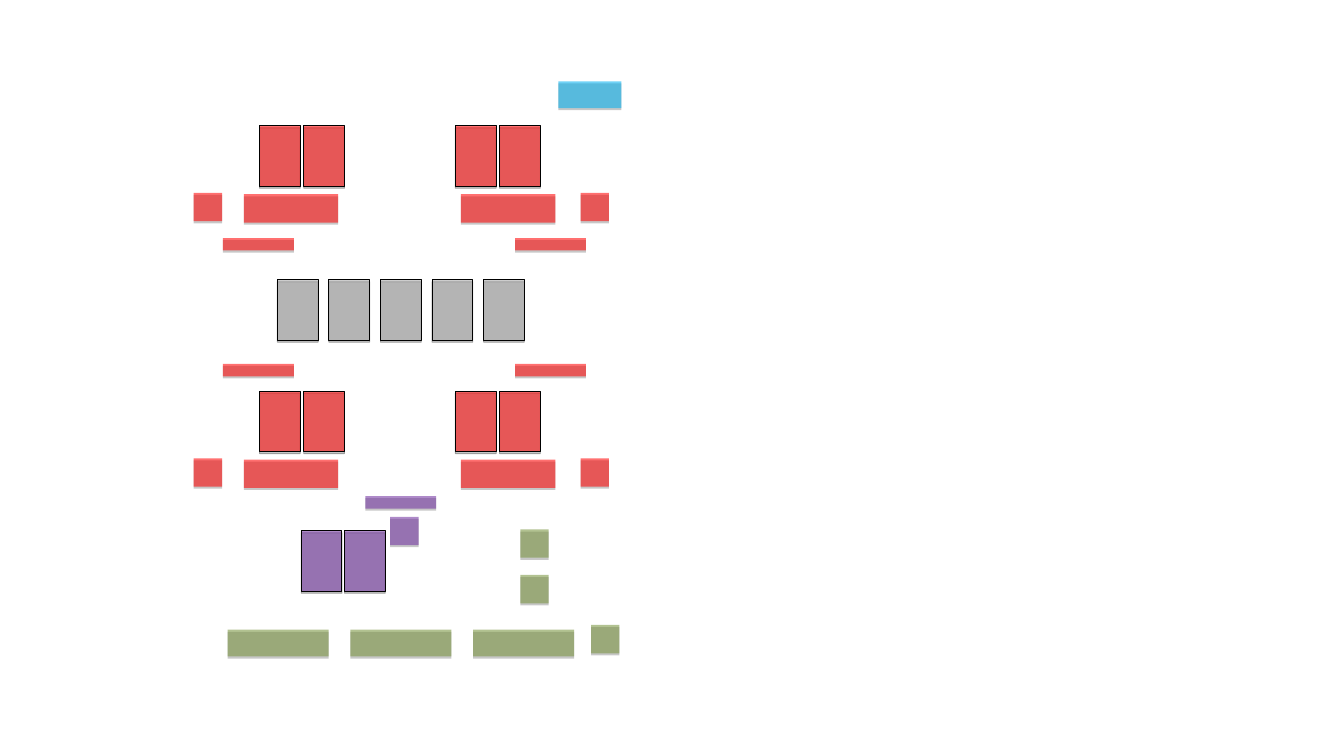
import pptx
import pptx.util
import pptx.dml.color
import pptx.enum.shapes
import pptx.oxml
import pptx.oxml.ns

Pt = pptx.util.Pt
RED, GREY, PURPLE, GREEN, BLUE = "FF0000", "A6A6A6", "7030A0", "77933C", "00B0F0"
CARD, CHIP, STRIP, BAR = (31, 46), (21.6, 21.6), (54, 9.5), (72, 21.6)
POT, TAG = (77, 20.4), (48, 20.4)
PAIR = 33.7
SIDES = {
    "left": {"chip": 0, "bar": 38.2, "strip": 22.3, "cards": 50.2},
    "right": {"chip": 95.5, "bar": 4.2, "strip": 45.5, "cards": 0},
}
NS = pptx.oxml.ns.nsdecls("a")
ALPHA = '<a:alpha %s val="56000"/>' % NS
SHADOW = (
    '<a:effectLst %s><a:outerShdw blurRad="0" dist="20000" dir="5400000" '
    'rotWithShape="0"><a:srgbClr val="000000"><a:alpha val="38000"/>'
    '</a:srgbClr></a:outerShdw></a:effectLst>' % NS
)


def paint(fill, color):
    """Fill with a solid hex colour."""
    fill.solid()
    fill.fore_color.rgb = pptx.dml.color.RGBColor.from_string(color)


def block(slide, left, top, size, color):
    """Draw one translucent block, outlined if it is a card."""
    kind = pptx.enum.shapes.MSO_SHAPE.RECTANGLE
    shape = slide.shapes.add_shape(kind, Pt(left), Pt(top), *map(Pt, size))
    paint(shape.fill, color)
    tint = shape.fill._xPr.find(".//" + pptx.oxml.ns.qn("a:srgbClr"))
    tint.append(pptx.oxml.parse_xml(ALPHA))
    if size == CARD:
        paint(shape.line.fill, "000000")
        shape.line.width = Pt(0.75)
    else:
        shape.line.fill.background()
    shape.shadow.inherit = False
    props = shape._element.spPr
    props.remove(props.find(pptx.oxml.ns.qn("a:effectLst")))
    props.append(pptx.oxml.parse_xml(SHADOW))


def row(slide, left, top, size, color, count, step):
    """Draw equal blocks at an even step."""
    for i in range(count):
        block(slide, left + i * step, top, size, color)


def seat(slide, left, top, side, drop):
    """Draw a player's seat, with its bet strip dropped from the top."""
    place = SIDES[side]
    row(slide, left + place["cards"], top, CARD, RED, 2, PAIR)
    block(slide, left + place["chip"], top + 51.2, CHIP, RED)
    block(slide, left + place["bar"], top + 52.2, BAR, RED)
    block(slide, left + place["strip"], top + drop, STRIP, RED)


def hero(slide, left, top):
    """Draw the hero's cards, chip and bet strip."""
    block(slide, left + 67.8, top + 15.8, CHIP, PURPLE)
    block(slide, left + 48.8, top, STRIP, PURPLE)
    row(slide, left, top + 26.4, CARD, PURPLE, 2, 33)


def panel(slide, left, top):
    """Draw the action buttons and chips."""
    row(slide, left, top + 76.4, POT, GREEN, 3, 93.6)
    for drop in (0, 34.7):
        block(slide, left + 223.2, top + drop, CHIP, GREEN)
    block(slide, left + 277.2, top + 72.8, CHIP, GREEN)


def main():
    """Build and save the table layout."""
    deck = pptx.Presentation()
    deck.slide_width, deck.slide_height = Pt(1024.56), Pt(576)
    slide = deck.slides.add_slide(deck.slide_layouts[6])
    hero(slide, 229.7, 378)
    row(slide, 211.5, 213.1, CARD, GREY, 5, 39.3)
    for top, drop in ((95.8, 85.6), (298, -20.8)):
        for side, left in (("left", 147.7), ("right", 347.2)):
            seat(slide, left, top, side, drop)
    panel(slide, 173.5, 403.4)
    block(slide, 425.7, 62, TAG, BLUE)
    deck.save("out.pptx")


if __name__ == "__main__":
    main()
